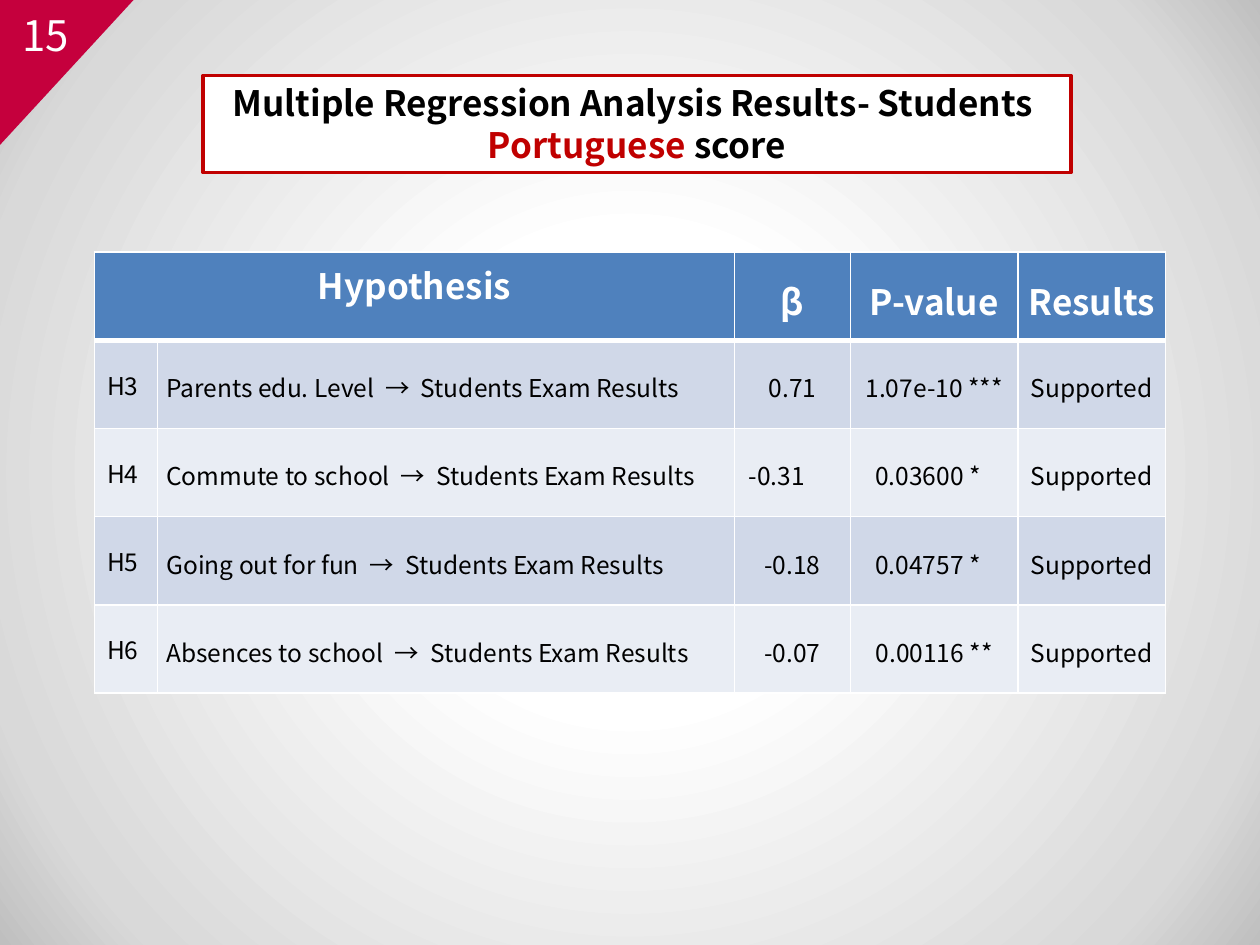
import dataclasses

import pptx
import pptx.dml.color
import pptx.enum.shapes
import pptx.enum.text
import pptx.oxml
import pptx.oxml.ns
import pptx.util
from pptx.util import Inches

ALIGN = pptx.enum.text.PP_ALIGN
MIDDLE = pptx.enum.text.MSO_ANCHOR.MIDDLE
SHAPE = pptx.enum.shapes.MSO_SHAPE
NS = pptx.oxml.ns.nsdecls("a")


@dataclasses.dataclass(frozen=True)
class Theme:
    """Colours, font and type sizes of the slide."""
    font: str = "Noto Sans CJK KR"
    white: str = "FFFFFF"
    black: str = "000000"
    corner: str = "C5003D"
    accent: str = "C00000"
    header: str = "4F81BD"
    bands: tuple = ("D0D8E8", "E9EDF4")
    backdrop: tuple = ((30, "FFFFFF"), (85, "D9D9D9"), (100, "BFBFBF"))
    number: int = 24
    heading: int = 20
    body: int = 14


T = Theme()


def rgb(value):
    """Return a colour object for a hex value."""
    return pptx.dml.color.RGBColor.from_string(value)


def style(r, size, color, bold=False):
    """Format one run."""
    r.font.name, r.font.size, r.font.bold = T.font, pptx.util.Pt(size), bold
    r.font.color.rgb = rgb(color)


def add_backdrop(s):
    """Give the slide a radial gradient background."""
    s.background.fill.gradient()
    old = s.element.find(".//" + pptx.oxml.ns.qn("a:gradFill"))
    stops = "".join(f'<a:gs pos="{pos * 1000}"><a:srgbClr val="{color}"/></a:gs>'
                    for pos, color in T.backdrop)
    new = pptx.oxml.parse_xml(
        f'<a:gradFill {NS} rotWithShape="1"><a:gsLst>{stops}</a:gsLst><a:path path="circle">'
        '<a:fillToRect l="50000" t="50000" r="50000" b="50000"/></a:path></a:gradFill>')
    old.getparent().replace(old, new)


def add_corner(s, x, y, w, h, number):
    """Draw the corner triangle and its slide number."""
    sp = s.shapes.add_shape(SHAPE.RIGHT_TRIANGLE, Inches(x + (w - h) / 2),
                            Inches(y + (h - w) / 2), Inches(h), Inches(w))
    sp.rotation = 90
    sp.shadow.inherit = False
    sp.fill.solid()
    sp.fill.fore_color.rgb = rgb(T.corner)
    sp.line.fill.background()
    box = s.shapes.add_textbox(Inches(x + 0.08), Inches(y), Inches(0.98), Inches(0.55))
    tf = box.text_frame
    tf.word_wrap, tf.vertical_anchor = True, MIDDLE
    tf.text = number
    style(tf.paragraphs[0].runs[0], T.number, T.white)


def add_title(s, x, y, w, h, lines):
    """Draw the framed title from lines of (text, colour) runs."""
    sp = s.shapes.add_shape(SHAPE.RECTANGLE, Inches(x), Inches(y), Inches(w), Inches(h))
    sp.shadow.inherit = False
    sp.fill.solid()
    sp.fill.fore_color.rgb = rgb(T.white)
    sp.line.color.rgb, sp.line.width = rgb(T.accent), pptx.util.Pt(2)
    tf = sp.text_frame
    tf.word_wrap, tf.vertical_anchor = True, pptx.enum.text.MSO_ANCHOR.TOP
    tf.auto_size = pptx.enum.text.MSO_AUTO_SIZE.SHAPE_TO_FIT_TEXT
    for i, line in enumerate(lines):
        p = tf.add_paragraph() if i else tf.paragraphs[0]
        p.alignment = ALIGN.CENTER
        for text, color in line:
            r = p.add_run()
            r.text = text
            style(r, T.heading, color, True)


def set_borders(cell, bottom):
    """Give a cell white borders with a chosen bottom width."""
    tc_pr = cell._tc.get_or_add_tcPr()
    for i, (side, width) in enumerate((("L", 1), ("R", 1), ("T", 1), ("B", bottom))):
        tc_pr.insert(i, pptx.oxml.parse_xml(
            f'<a:ln{side} {NS} w="{pptx.util.Pt(width)}"><a:solidFill>'
            f'<a:srgbClr val="{T.white}"/></a:solidFill></a:ln{side}>'))


def fill_cell(cell, text, row, col, shift):
    """Write and format one table cell."""
    head = row == 0
    cell.fill.solid()
    cell.fill.fore_color.rgb = rgb(T.header if head else T.bands[(row - 1) % 2])
    set_borders(cell, 3 if head else 1)
    cell.text = text
    p = cell.text_frame.paragraphs[0]
    for r in p.runs:
        style(r, T.heading if head else T.body, T.white if head else T.black, head)
    if head or col > 1:
        p.alignment = ALIGN.CENTER
    elif col == 1:
        p.alignment = ALIGN.JUSTIFY
    if col:
        p.line_spacing = 1.15
        cell.margin_left, cell.margin_right = Inches(0.07), Inches(0.07 + shift)
        cell.margin_top = cell.margin_bottom = 0
    if col or not head:
        cell.vertical_anchor = MIDDLE


def add_results(s, x, y, w, h, widths, rows, shifts):
    """Draw the results table, with a merged first heading."""
    table = s.shapes.add_table(len(rows), len(widths), Inches(x), Inches(y),
                               Inches(w), Inches(h)).table
    for column, width in zip(table.columns, widths):
        column.width = Inches(width)
    for i, row in enumerate(rows):
        table.rows[i].height = Inches(h / len(rows))
        for j, text in enumerate(row):
            fill_cell(table.cell(i, j), text, i, j, shifts.get((i, j), 0))
    table.cell(0, 0).merge(table.cell(0, 1))


def build():
    """Build and save the slide."""
    prs = pptx.Presentation()
    prs.slide_width, prs.slide_height = Inches(10), Inches(7.5)
    s = prs.slides.add_slide(prs.slide_layouts[6])
    add_backdrop(s)
    add_corner(s, 0, 0, 1.06, 1.15, "15")
    add_title(s, 1.61, 0.6, 6.89, 0.77, [
        [("Multiple Regression Analysis Results- Students ", T.black)],
        [("Portuguese", T.accent), (" score", T.black)]])
    findings = [("Parents edu. Level", "0.71", "1.07e-10 ***"),
                ("Commute to school", "-0.31", "0.03600 *"),
                ("Going out for fun", "-0.18", "0.04757 *"),
                ("Absences to school", "-0.07", "0.00116 **")]
    rows = [("Hypothesis", "", "β", "P-value", "Results")]
    rows += [(f"H{n}", f"{cause}  →  Students Exam Results", beta, p_value, "Supported")
             for n, (cause, beta, p_value) in enumerate(findings, 3)]
    add_results(s, 0.75, 2, 8.5, 3.5, (0.5, 4.58, 0.92, 1.33, 1.17), rows,
                {(2, 2): 0.25, (2, 3): 0.1, (3, 3): 0.1})
    prs.save("out.pptx")


build()
